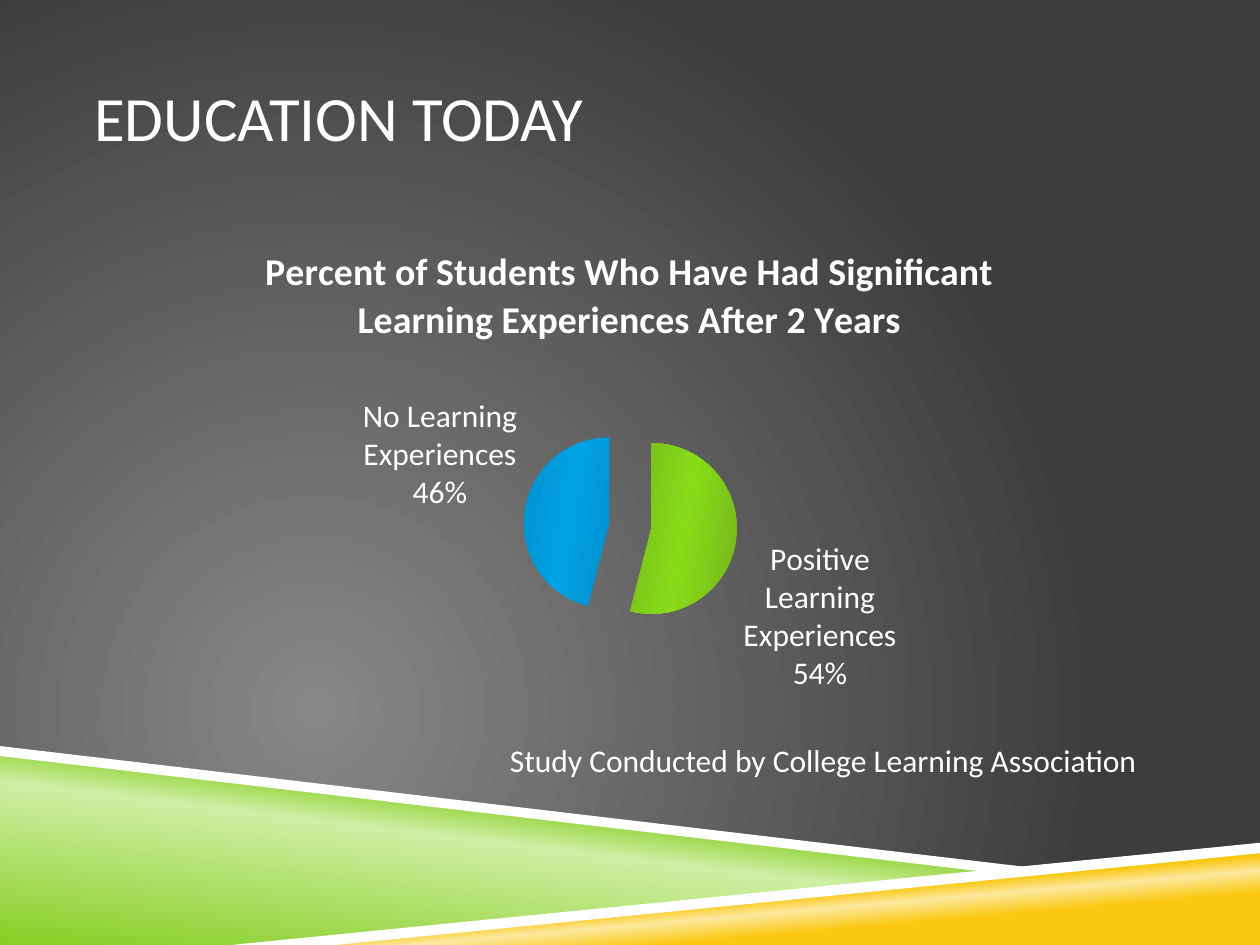
from dataclasses import dataclass

from pptx import Presentation, oxml
from pptx import util as u
from pptx.chart.data import CategoryChartData
from pptx.dml.color import RGBColor
from pptx.enum import chart as ch, text
from pptx.oxml import ns


@dataclass(frozen=True)
class Theme:
    font: str = "Calibri"
    heading: float = 36
    chart_title: float = 21.6
    body: float = 18
    white: str = "FFFFFF"
    backdrop: tuple = ((0, "878787"), (100, "3D3D3D"))
    green_band: tuple = ((0, "86CE24"), (52, "CFEFA4"), (66, "86CE24"))
    gold_band: tuple = ((28, "FAC810"), (40, "FDE99F"), (48, "FAC810"))
    green_slice: tuple = ((0, "76B51D"), (50, "88DC17"), (100, "76B51D"))
    blue_slice: tuple = ((0, "008FCC"), (50, "00A2E6"), (100, "008FCC"))


def cm_box(box):
    return [u.Cm(length) for length in box]


def linear(angle):
    return f'<a:lin ang="{angle * 60000}" scaled="0"/>'


def set_gradient(fill, owner, stops, direction):
    fill.gradient()
    gradient = next(owner.iter(ns.qn("a:gradFill")))
    marks = "".join(
        f'<a:gs pos="{pos * 1000}"><a:srgbClr val="{color}"/></a:gs>'
        for pos, color in stops
    )
    gradient.getparent().replace(gradient, oxml.parse_xml(
        f'<a:gradFill {ns.nsdecls("a")} rotWithShape="1">'
        f"<a:gsLst>{marks}</a:gsLst>{direction}</a:gradFill>"
    ))


def style_font(font, theme, size, bold=False):
    font.name = theme.font
    font.size = u.Pt(size)
    font.bold = bold
    font.color.rgb = RGBColor.from_string(theme.white)


def write_text(frame, content, *, theme, size, bold=False,
               align=text.PP_ALIGN.LEFT):
    paragraph = frame.paragraphs[0]
    paragraph.alignment = align
    run = paragraph.add_run()
    run.text = content
    style_font(run.font, theme, size, bold)


class SlideBuilder:
    def __init__(self, slide, theme):
        self.slide = slide
        self.theme = theme

    def backdrop(self):
        center = ('<a:path path="circle"><a:fillToRect l="50000" t="100000" '
                  'r="100000" b="50000"/></a:path>')
        set_gradient(self.slide.background.fill, self.slide.element,
                     self.theme.backdrop, center)

    def band(self, corners, color=None, stops=None, angle=0):
        start, *rest = [cm_box(corner) for corner in corners]
        outline = self.slide.shapes.build_freeform(*start)
        outline.add_line_segments(rest, close=True)
        band = outline.convert_to_shape()
        band.shadow.inherit = False
        band.line.fill.background()
        if stops:
            set_gradient(band.fill, band.element.spPr, stops, linear(angle))
        else:
            band.fill.solid()
            band.fill.fore_color.rgb = RGBColor.from_string(color)

    def label(self, box, content, size, *, wrap=True, side_inset=0.25,
              anchor=text.MSO_ANCHOR.TOP):
        frame = self.slide.shapes.add_textbox(*cm_box(box)).text_frame
        frame.word_wrap = wrap
        frame.vertical_anchor = anchor
        frame.margin_left = frame.margin_right = u.Cm(side_inset)
        if not wrap:
            frame.auto_size = text.MSO_AUTO_SIZE.SHAPE_TO_FIT_TEXT
        write_text(frame, content, theme=self.theme, size=size)

    def pie(self, box, title, shares, slice_stops, explosion):
        survey = CategoryChartData()
        survey.categories = list(shares)
        survey.add_series("Series 1", list(shares.values()))
        pie = self.slide.shapes.add_chart(
            ch.XL_CHART_TYPE.PIE, *cm_box(box), survey).chart
        style_font(pie.font, self.theme, self.theme.body)
        pie.has_legend = False
        pie.has_title = True
        write_text(pie.chart_title.text_frame, title, theme=self.theme,
                   size=self.theme.chart_title, bold=True,
                   align=text.PP_ALIGN.CENTER)
        pie.chart_title.include_in_layout = False

        plot = pie.plots[0]
        plot.vary_by_categories = True
        series = plot.series[0]
        for index, stops in enumerate(slice_stops):
            portion = series.points[index].format
            portion.line.fill.background()
            point = series._element.findall(ns.qn("c:dPt"))[index]
            set_gradient(portion.fill, point, stops, linear(10))
        series._element.find(ns.qn("c:dPt")).addprevious(oxml.parse_xml(
            f'<c:explosion {ns.nsdecls("c")} val="{explosion}"/>'))

        labels = series.data_labels
        labels.show_value = False
        labels.show_category_name = True
        labels.show_percentage = True
        labels.number_format = "0%"
        labels.number_format_is_linked = False
        labels.position = ch.XL_LABEL_POSITION.OUTSIDE_END
        style_font(labels.font, self.theme, self.theme.body)


def main():
    theme = Theme()
    deck = Presentation()
    deck.slide_width, deck.slide_height = u.Cm(25.4), u.Cm(19.05)
    builder = SlideBuilder(deck.slides.add_slide(deck.slide_layouts[6]), theme)

    builder.backdrop()
    builder.band([(0, 15.16), (20.12, 17.58), (5.08, 19.05), (0, 19.05)],
                 stops=theme.green_band, angle=277)
    builder.band([(5.03, 19.05), (25.4, 17.07), (25.4, 19.05)],
                 stops=theme.gold_band, angle=265)
    builder.band([(0, 15.04), (0, 15.24), (20.07, 17.6), (21.13, 17.53)],
                 color=theme.white)
    builder.band([(25.4, 16.99), (4.67, 19.05), (6.76, 19.05), (25.4, 17.2)],
                 color=theme.white)

    builder.label((1.9, 0.76, 21.59, 3.18), "EDUCATION TODAY", theme.heading,
                  side_inset=0, anchor=text.MSO_ANCHOR.MIDDLE)
    builder.pie(
        (1.9, 4.45, 21.59, 10.36),
        "Percent of Students Who Have Had Significant "
        "Learning Experiences After 2 Years",
        {"Positive Learning Experiences": 54, "No Learning Experiences": 46},
        (theme.green_slice, theme.blue_slice),
        explosion=25,
    )
    builder.label((10.03, 14.81, 13.46, 1.02),
                  "Study Conducted by College Learning Association",
                  theme.body, wrap=False)
    deck.save("out.pptx")


if __name__ == "__main__":
    main()
